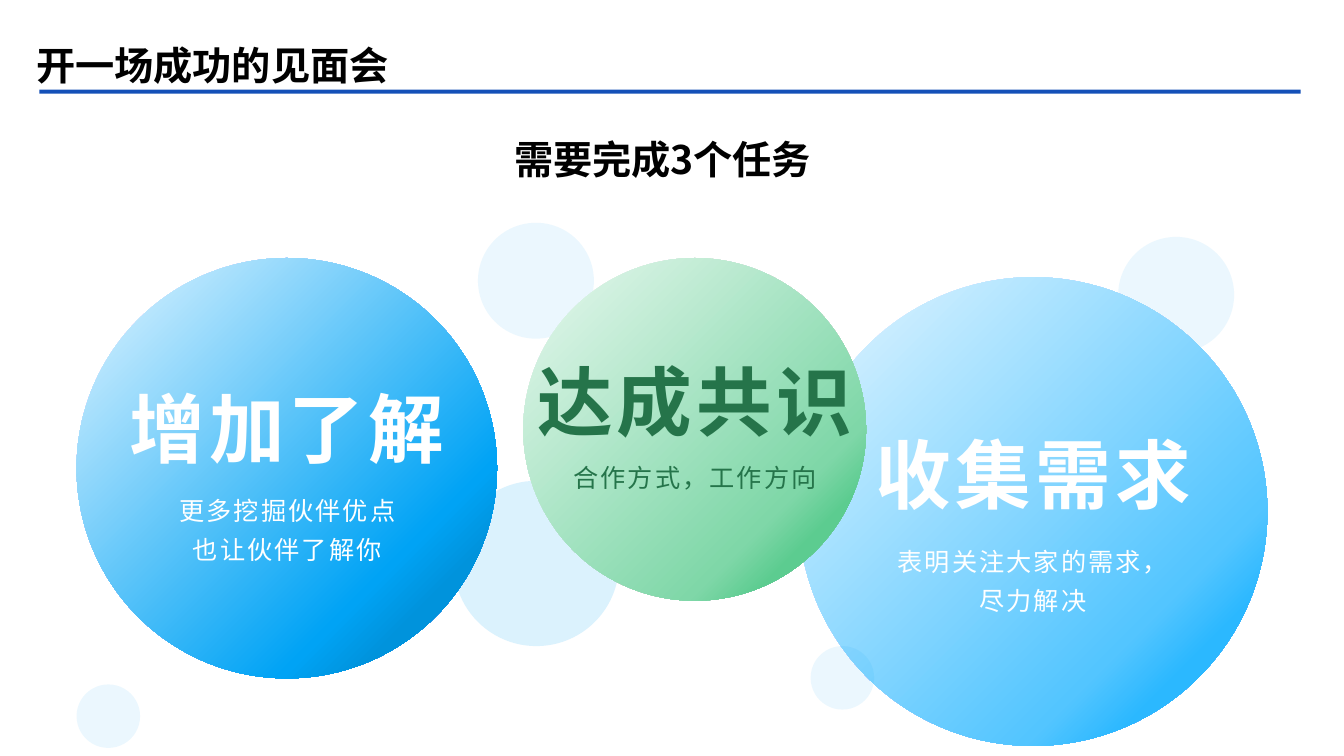
"""Builds a slide on the three tasks of a successful meeting."""
import pptx
import pptx.dml.color
import pptx.enum.shapes
import pptx.enum.text
import pptx.oxml
import pptx.oxml.ns
import pptx.util
from pptx.util import Inches

ANCHOR = pptx.enum.text.MSO_ANCHOR
ALIGN = pptx.enum.text.PP_ALIGN
SHAPE = pptx.enum.shapes.MSO_SHAPE
NAMESPACE = pptx.oxml.ns.nsdecls("a")


def color(value):
    """Return the colour of a hex string."""
    return pptx.dml.color.RGBColor.from_string(value)


def assign(target, values):
    """Set every attribute given in a dict."""
    for name, value in values.items():
        setattr(target, name, value)


class SlideBuilder:
    """Holds the style and the slide being built."""

    font = "Noto Sans CJK SC"
    black, white, green, blue, sky = "000000", "FFFFFF", "25744A", "1450B8", "00A3F5"
    heading = {"size": 28, "bold": True}
    headline = {"size": 54, "bold": True, "spacing": 3}
    detail = {"size": 18, "bold": False, "spacing": 1.5}
    flush = dict.fromkeys(("margin_left", "margin_top", "margin_right", "margin_bottom"), 0)

    def __init__(self, page):
        """Keep the page to draw on."""
        self.page = page

    def shape(self, kind, left, top, width, height):
        """Add a preset shape without line and shadow."""
        shape = self.page.shapes.add_shape(
            kind, Inches(left), Inches(top), Inches(width), Inches(height))
        shape.shadow.inherit = False
        shape.line.fill.background()
        return shape

    def rule(self, left, top, width, height):
        """Add the bar under the title."""
        bar = self.shape(SHAPE.RECTANGLE, left, top, width, height)
        bar.fill.solid()
        bar.fill.fore_color.rgb = color(self.blue)

    def bubble(self, left, top, size, opacity=8):
        """Add a pale transparent circle."""
        circle = self.shape(SHAPE.OVAL, left, top, size, size)
        circle.fill.solid()
        circle.fill.fore_color.rgb = color(self.sky)
        tint = circle._element.spPr.find(".//" + pptx.oxml.ns.qn("a:srgbClr"))
        tint.append(pptx.oxml.parse_xml(f'<a:alpha {NAMESPACE} val="{opacity * 1000}"/>'))

    def ball(self, left, top, size, light, middle, dark):
        """Add a circle with a diagonal gradient."""
        circle = self.shape(SHAPE.OVAL, left, top, size, size)
        stops = "".join(
            f'<a:gs pos="{place * 1000}"><a:srgbClr val="{value}"/></a:gs>'
            for place, value in ((0, light), (74, middle), (83, dark), (100, dark)))
        circle._element.spPr.find(pptx.oxml.ns.qn("a:prstGeom")).addnext(pptx.oxml.parse_xml(
            f'<a:gradFill {NAMESPACE} rotWithShape="1"><a:gsLst>{stops}</a:gsLst>'
            '<a:lin ang="2700000" scaled="0"/></a:gradFill>'))

    def text(self, place, lines, style, ink, frame, paragraph):
        """Add a text box with one paragraph for each line."""
        box = self.page.shapes.add_textbox(*map(Inches, place))
        assign(box.text_frame, {"word_wrap": True, **frame})
        for index, line in enumerate(lines):
            para = box.text_frame.add_paragraph() if index else box.text_frame.paragraphs[0]
            assign(para, paragraph)
            span = para.add_run()
            span.text = line
            assign(span.font, {"name": self.font, "size": pptx.util.Pt(style["size"]),
                               "bold": style["bold"]})
            span.font.color.rgb = color(ink)
            properties = span.font._element
            properties.set("lang", "zh-CN")
            if "spacing" in style:
                properties.set("spc", str(int(style["spacing"] * 100)))
            properties.find(pptx.oxml.ns.qn("a:latin")).addnext(
                pptx.oxml.parse_xml(f'<a:ea {NAMESPACE} typeface="{self.font}"/>'))

    def title(self, place, line):
        """Add a heading line."""
        self.text(place, [line], self.heading, self.black,
                  {"vertical_anchor": ANCHOR.MIDDLE}, {"line_spacing": 1.3})

    def task(self, place, line, ink):
        """Add the large name of a task."""
        self.text(place, [line], self.headline, ink,
                  {"vertical_anchor": ANCHOR.BOTTOM, "word_wrap": False, **self.flush},
                  {"alignment": ALIGN.CENTER})

    def note(self, place, lines, ink):
        """Add the explanation of a task."""
        self.text(place, lines, self.detail, ink, self.flush,
                  {"alignment": ALIGN.CENTER, "line_spacing": 1.3})


def main():
    """Build and save the deck."""
    deck = pptx.Presentation()
    deck.slide_width, deck.slide_height = Inches(13.33), Inches(7.5)
    slide = SlideBuilder(deck.slides.add_slide(deck.slide_layouts[6]))

    slide.rule(0.39, 0.89, 12.51, 0.04)
    slide.title((0.26, 0.09, 5.92, 0.97), "开一场成功的见面会")

    slide.bubble(11.09, 2.35, 1.15)
    slide.bubble(4.74, 2.21, 1.15)
    slide.bubble(4.5, 4.77, 1.64, 14)

    slide.ball(7.92, 2.75, 4.65, "E5F6FF", "53C5FF", "2BB8FF")
    slide.ball(0.76, 2.56, 4.17, "E5F6FF", "00A3F5", "0093DC")
    slide.note((1.19, 4.82, 3.32, 0.96), ["更多挖掘伙伴优点", "也让伙伴了解你"], slide.white)
    slide.task((1.26, 3.57, 3.17, 1.12), "增加了解", slide.white)
    slide.note((8.47, 5.33, 3.55, 0.98), ["表明关注大家的需求，", "尽力解决"], slide.white)
    slide.task((8.42, 4.11, 3.66, 1.04), "收集需求", slide.white)

    slide.ball(5.19, 2.56, 3.4, "E8F8EF", "7FD7A8", "5CCC90")
    slide.note((5.38, 4.5, 3.03, 0.95), ["合作方式，工作方向"], slide.green)
    slide.bubble(8.04, 6.41, 0.63)
    slide.bubble(0.76, 6.79, 0.63)
    slide.task((5.29, 3.32, 3.2, 1.1), "达成共识", slide.green)
    slide.title((5, 1.02, 3.34, 0.97), "需要完成3个任务")

    deck.save("out.pptx")


if __name__ == "__main__":
    main()
